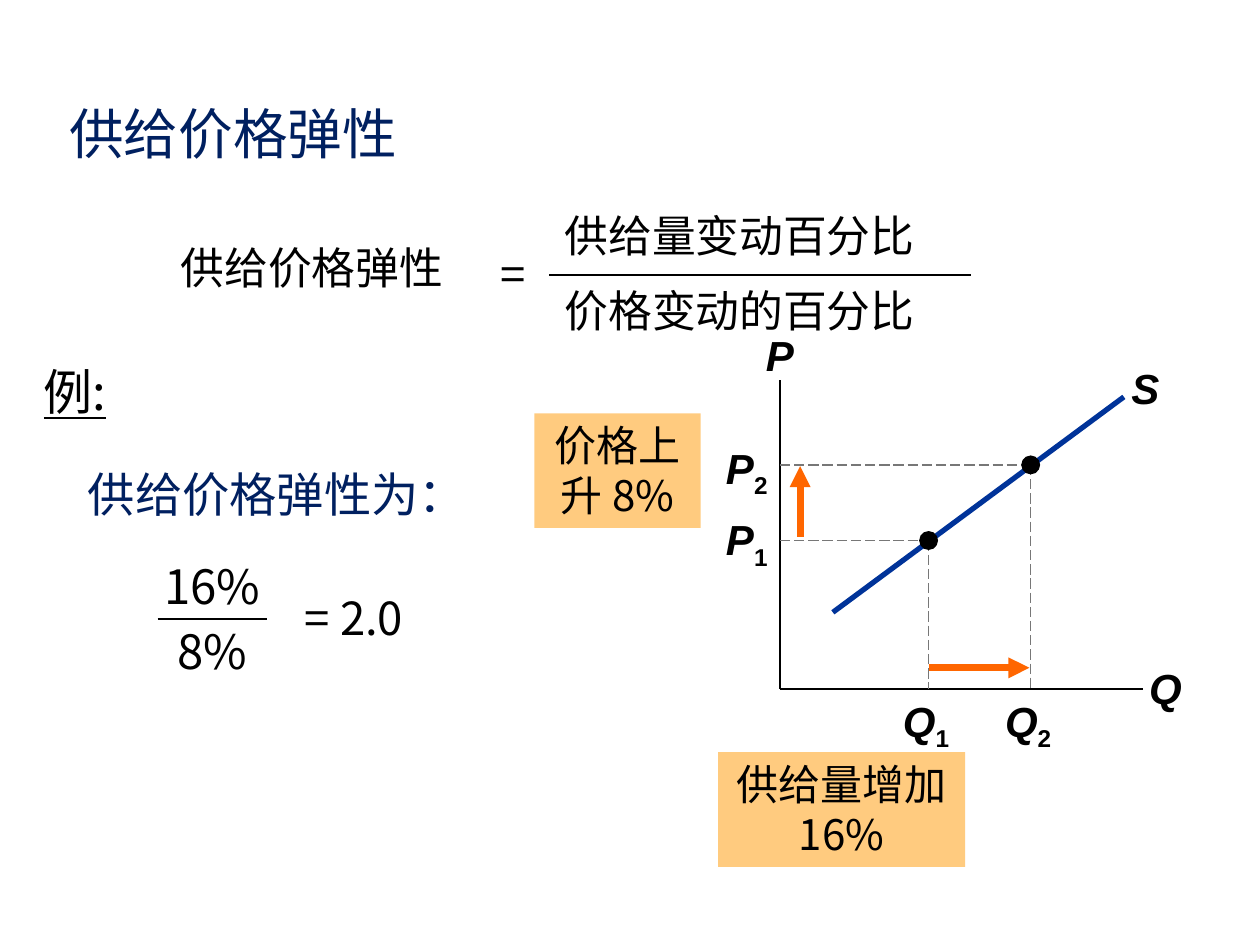
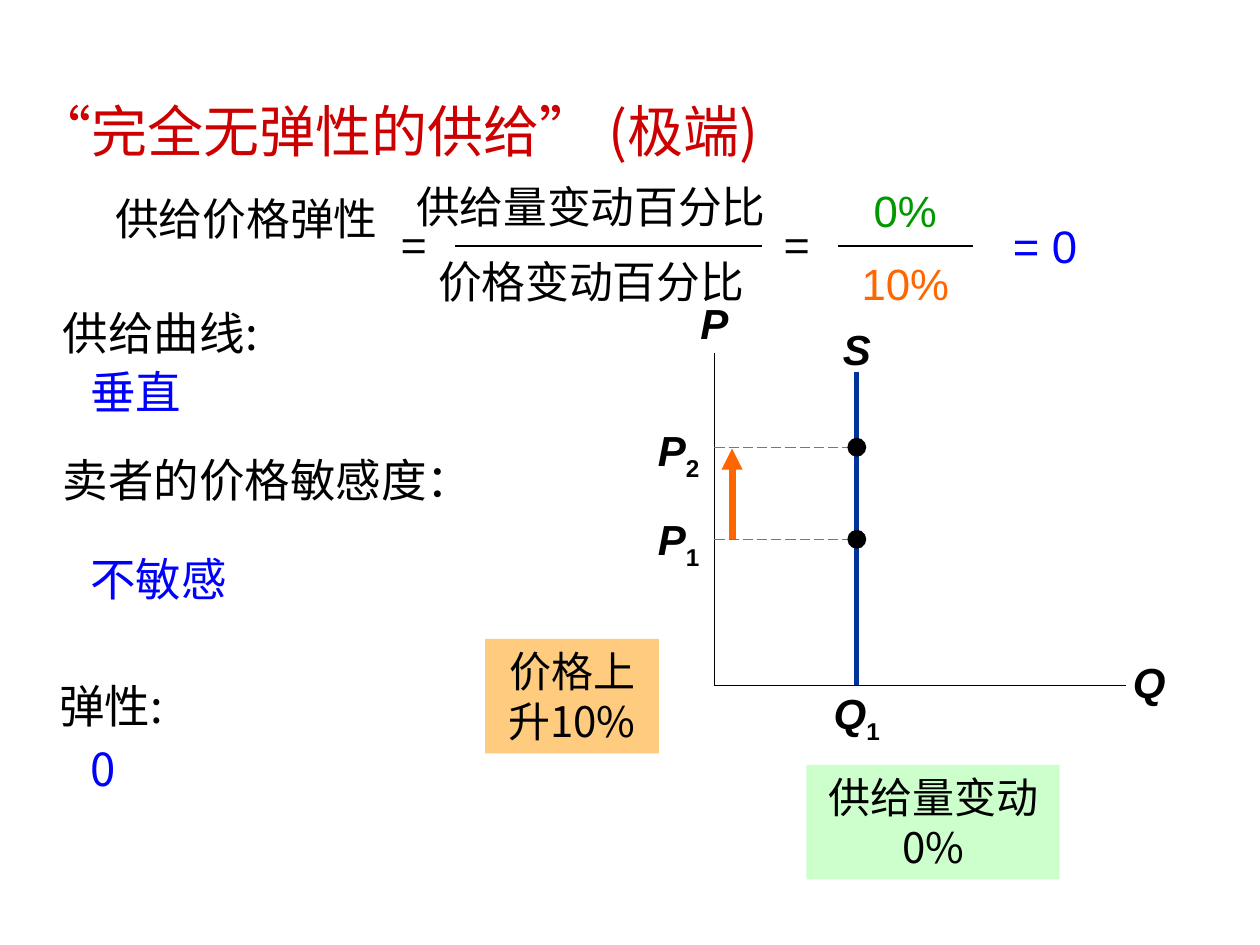
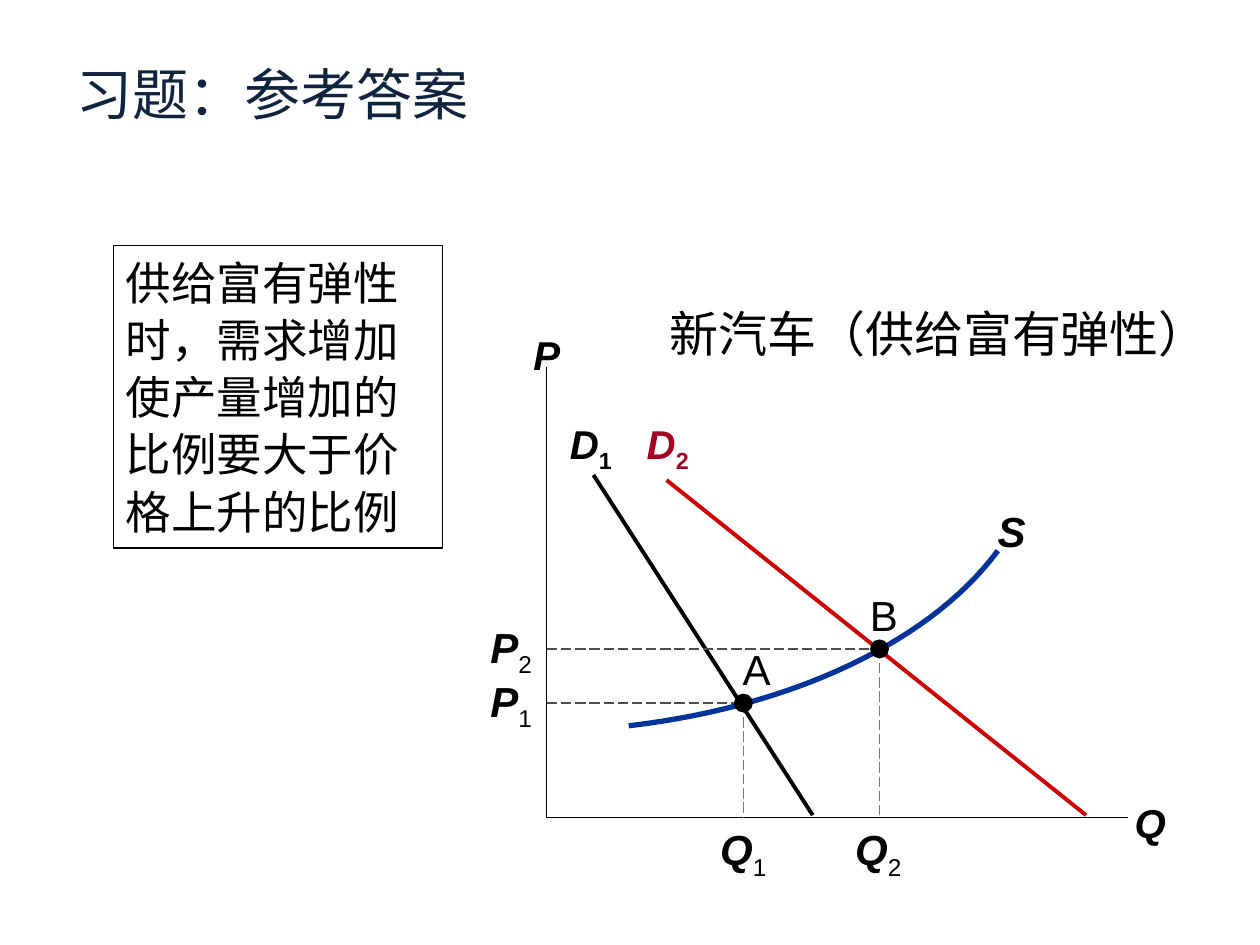
from lxml.etree import SubElement
from pptx import Presentation
from pptx.dml.color import RGBColor
from pptx.enum.dml import MSO_LINE
from pptx.enum.shapes import MSO_CONNECTOR, MSO_SHAPE
from pptx.enum.text import MSO_ANCHOR, MSO_AUTO_SIZE, PP_ALIGN
from pptx.oxml.ns import qn
from pptx.util import Inches, Pt

BLACK = RGBColor(0x00, 0x00, 0x00)
WHITE = RGBColor(0xFF, 0xFF, 0xFF)
NAVY = RGBColor(0x00, 0x20, 0x60)
INK = RGBColor(0x0F, 0x24, 0x3E)
RED = RGBColor(0xCC, 0x00, 0x00)
CRIMSON = RGBColor(0xA5, 0x00, 0x21)
SUPPLY_BLUE = RGBColor(0x00, 0x33, 0x99)
ANSWER_BLUE = RGBColor(0x00, 0x00, 0xFF)
GREEN = RGBColor(0x00, 0x99, 0x00)
PALE_GREEN = RGBColor(0xCC, 0xFF, 0xCC)
ORANGE = RGBColor(0xFF, 0x66, 0x00)
AMBER = RGBColor(0xFF, 0x99, 0x00)
GRAY = RGBColor(0x77, 0x77, 0x77)
DARK_GRAY = RGBColor(0x4D, 0x4D, 0x4D)

CHINESE = "Noto Sans CJK SC"
LATIN = "Arial"
DOT = 0.15
SYMBOL_WIDTH = 0.67


def add_span(para, text, size, color=BLACK, font=CHINESE, bold=False, italic=False):
    span = para.add_run()
    span.text = text
    span.font.size = Pt(size)
    span.font.bold = bold
    span.font.italic = italic
    span.font.color.rgb = color
    span.font.name = font
    SubElement(span._r.get_or_add_rPr(), qn("a:ea"), typeface=font)
    return span


def add_title(page, text, left, top, width, height, size=32, color=NAVY,
              font=CHINESE, anchor=MSO_ANCHOR.MIDDLE):
    title = page.shapes.title
    title.left, title.top = Inches(left), Inches(top)
    title.width, title.height = Inches(width), Inches(height)
    frame = title.text_frame
    frame.auto_size = MSO_AUTO_SIZE.NONE
    frame.vertical_anchor = anchor
    para = frame.paragraphs[0]
    para.alignment = PP_ALIGN.LEFT
    add_span(para, text, size, color, font)


def add_box(page, left, top, width, height):
    box = page.shapes.add_textbox(Inches(left), Inches(top), Inches(width), Inches(height))
    box.text_frame.word_wrap = True
    return box.text_frame


def add_label(page, text, left, top, width, height, size=26, color=BLACK,
              font=CHINESE, align=PP_ALIGN.CENTER, spacing=None):
    para = add_box(page, left, top, width, height).paragraphs[0]
    para.alignment = align
    if spacing:
        para.line_spacing = spacing
    return add_span(para, text, size, color, font)


def add_symbol(page, letter, center, top, index="", size=24, color=BLACK,
               align=PP_ALIGN.CENTER, index_bold=True):
    """Write a bold italic variable, with its index as a subscript."""
    frame = add_box(page, center - SYMBOL_WIDTH / 2, top, SYMBOL_WIDTH, 0.5)
    para = frame.paragraphs[0]
    para.alignment = align
    add_span(para, letter, size, color, LATIN, bold=True, italic=True)
    if index:
        span = add_span(para, index, size, color, LATIN, bold=index_bold)
        span._r.get_or_add_rPr().set("baseline", "-25000")


def add_price(page, index, right, top, index_bold=True):
    add_symbol(page, "P", right - SYMBOL_WIDTH / 2, top, index,
               align=PP_ALIGN.RIGHT, index_bold=index_bold)


def add_line(page, start, end, color=BLACK, width=1.0, dashed=False, arrow=False):
    line = page.shapes.add_connector(MSO_CONNECTOR.STRAIGHT, *map(Inches, start + end))
    line.line.color.rgb = color
    line.line.width = Pt(width)
    if dashed:
        line.line.dash_style = MSO_LINE.LONG_DASH
    if arrow:
        SubElement(line.line._get_or_add_ln(), qn("a:tailEnd"), type="triangle")
    SubElement(line._element.spPr, qn("a:effectLst"))


def add_arrow(page, start, end):
    add_line(page, start, end, ORANGE, 4, arrow=True)


def add_axes(page, origin, top, right, price_top, quantity_top, width=1.0, size=24):
    x, y = origin
    add_line(page, (x, top), origin, width=width)
    add_line(page, origin, (right, y), width=width)
    add_symbol(page, "P", x, price_top, size=size)
    add_symbol(page, "Q", right + 0.18, quantity_top, size=size)


def add_guides(page, origin, point, color=GRAY, down=True):
    """Draw dashed lines from a point to the price and quantity axes."""
    add_line(page, (origin[0], point[1]), point, color, 0.75, dashed=True)
    if down:
        add_line(page, point, (point[0], origin[1]), GRAY, 0.75, dashed=True)


def add_shape(page, kind, left, top, width, height, fill):
    shape = page.shapes.add_shape(
        kind, Inches(left), Inches(top), Inches(width), Inches(height))
    shape.shadow.inherit = False
    shape.fill.solid()
    shape.fill.fore_color.rgb = fill
    shape.line.fill.background()
    return shape


def add_dot(page, point):
    x, y = point
    add_shape(page, MSO_SHAPE.OVAL, x - DOT / 2, y - DOT / 2, DOT, DOT, BLACK)


def add_panel(page, text, left, top, width, height, fill, size=24,
              align=PP_ALIGN.CENTER, spacing=None):
    panel = add_shape(page, MSO_SHAPE.RECTANGLE, left, top, width, height, fill)
    frame = panel.text_frame
    frame.word_wrap = True
    frame.vertical_anchor = MSO_ANCHOR.TOP
    para = frame.paragraphs[0]
    para.alignment = align
    if spacing:
        para.line_spacing = spacing
    add_span(para, text, size)
    return panel


def add_price_panel(page, text, left, top, width):
    panel = add_panel(page, text, left, top, width, 0.91, AMBER)
    color = panel._element.spPr.find(qn("a:solidFill")).find(qn("a:srgbClr"))
    SubElement(color, qn("a:alpha"), val="50000")


def add_word_fraction(page, words, center, bar_left, bar_right, bar_top):
    frame = add_box(page, center - 1.75, bar_top - 0.57, 3.5, 1.15)
    for number, text in enumerate(words):
        para = frame.add_paragraph() if number else frame.paragraphs[0]
        para.alignment = PP_ALIGN.CENTER
        if number:
            para.space_before = Pt(12.5)
        add_span(para, text, 25)
    add_line(page, (bar_left, bar_top), (bar_right, bar_top))


def add_value_fraction(page, values, colors, tops, bar_left, bar_right, bar_top, size, font):
    center = (bar_left + bar_right) / 2
    for text, color, top in zip(values, colors, tops):
        add_label(page, text, center - 0.6, top, 1.2, 0.52, size, color, font)
    add_line(page, (bar_left, bar_top), (bar_right, bar_top))


def add_supply_curve(page, start, control_1, control_2, end, steps=30):
    """Trace a cubic Bezier curve as a fine outline."""
    def at(t):
        weights = ((1 - t) ** 3, 3 * t * (1 - t) ** 2, 3 * t * t * (1 - t), t ** 3)
        knots = (start, control_1, control_2, end)
        return tuple(Inches(sum(w * knot[axis] for w, knot in zip(weights, knots)))
                     for axis in (0, 1))

    builder = page.shapes.build_freeform(*at(0))
    builder.add_line_segments([at(step / steps) for step in range(1, steps + 1)], close=False)
    curve = builder.convert_to_shape()
    curve.shadow.inherit = False
    curve.fill.background()
    curve.line.color.rgb = SUPPLY_BLUE
    curve.line.width = Pt(3)


def build_elasticity(page):
    add_title(page, "供给价格弹性", 0.45, 0.76, 8.48, 0.59, 31.2)
    add_label(page, "供给价格弹性", 1.03, 1.89, 2.89, 0.5, 25, spacing=0.95)
    add_label(page, "=", 3.78, 1.9, 0.58, 0.53)
    add_word_fraction(page, ("供给量变动百分比", "价格变动的百分比"), 5.87, 4.36, 7.71, 2.18)

    add_label(page, "例:", 0, 2.82, 1.19, 0.57, 28).font.underline = True
    add_label(page, "供给价格弹性为：", 0.6, 3.64, 2.9, 0.6, 27, NAVY, align=PP_ALIGN.LEFT)
    add_value_fraction(page, ("16%", "8%"), (BLACK, BLACK), (4.37, 4.89),
                       1.25, 2.12, 4.91, 27, CHINESE)
    add_label(page, "= 2.0", 2.13, 4.63, 1.36, 0.53)

    origin, low, high = (6.19, 5.47), (7.37, 4.29), (8.18, 3.69)
    add_axes(page, origin, 3.02, 9.07, 2.57, 5.21)
    add_line(page, (8.92, 3.15), (6.61, 4.86), SUPPLY_BLUE, 3)
    add_symbol(page, "S", 9.09, 2.83)
    for index, point, price_top in (("1", low, 4.03), ("2", high, 3.46)):
        add_guides(page, origin, point)
        add_dot(page, point)
        add_price(page, index, origin[0], price_top)
        add_symbol(page, "Q", point[0] - 0.02, origin[1], index)
    add_arrow(page, (6.35, 4.26), (6.35, 3.7))
    add_arrow(page, (7.37, 5.3), (8.17, 5.3))
    add_price_panel(page, "价格上升 8%", 4.24, 3.28, 1.32)
    add_price_panel(page, "供给量增加16%", 5.7, 5.97, 1.96)


def build_perfectly_inelastic(page):
    add_title(page, "“完全无弹性的供给” (极端)", 0.18, 0.69, 9.29, 0.68, color=RED)
    add_label(page, "供给价格弹性", 0.71, 1.5, 2.49, 0.5, 25, spacing=0.95)
    for left in (3.04, 6.08):
        add_label(page, "=", left, 1.68, 0.5, 0.53)
    add_word_fraction(page, ("供给量变动百分比", "价格变动百分比"), 4.69, 3.61, 6.05, 1.95)
    add_value_fraction(page, ("0%", "10%"), (GREEN, ORANGE), (1.41, 1.99),
                       6.65, 7.72, 1.95, 25, LATIN)
    add_label(page, "= 0", 7.92, 1.68, 0.75, 0.53, color=ANSWER_BLUE, font=LATIN)

    for question, left, top, answer, answer_top in (
            ("供给曲线:", 0.4, 2.35, "垂直", 2.82),
            ("卖者的价格敏感度：", 0.4, 3.52, "不敏感", 4.3),
            ("弹性:", 0.37, 5.31, "0", 5.81)):
        add_label(page, question, left, top, 3.71, 0.58,
                  align=PP_ALIGN.LEFT, spacing=1.05)
        add_label(page, answer, 0.62, answer_top, 2.9, 0.58, color=ANSWER_BLUE,
                  align=PP_ALIGN.LEFT, spacing=1.05)

    origin, supply_x = (5.67, 5.44), 6.8
    add_axes(page, origin, 2.8, 8.94, 2.31, 5.16)
    add_line(page, (supply_x, 2.95), (supply_x, origin[1]), SUPPLY_BLUE, 3)
    add_symbol(page, "S", supply_x, 2.52)
    add_symbol(page, "Q", supply_x, 5.41, "1")
    for index, price, price_top in (("1", 4.28, 4.03), ("2", 3.55, 3.32)):
        point = (supply_x, price)
        add_guides(page, origin, point, down=False)
        add_dot(page, point)
        add_price(page, index, 5.65, price_top)
    add_arrow(page, (5.81, 4.28), (5.81, 3.56))
    add_price_panel(page, "价格上升10%", 3.85, 5.07, 1.38)
    add_panel(page, "供给量变动 0%", 6.4, 6.07, 2.01, 0.91, PALE_GREEN)


def build_exercise_answer(page):
    add_title(page, "习题：参考答案", 0.51, 0.42, 8.98, 1.04, color=INK,
              font="Karla", anchor=MSO_ANCHOR.TOP)
    answer = add_panel(page, "供给富有弹性时，需求增加使产量增加的比例要大于价格上升的比例",
                       0.9, 1.95, 2.61, 2.4, WHITE, 26, PP_ALIGN.LEFT, 1.05)
    answer.line.color.rgb = BLACK
    answer.line.width = Pt(0.75)
    add_label(page, "新汽车（供给富有弹性）", 5.07, 2.34, 4.76, 1.16, 28,
              font=LATIN, spacing=1.05)

    origin, point_a, point_b = (4.34, 6.49), (5.9, 5.58), (6.98, 5.15)
    add_axes(page, origin, 2.91, 8.95, 2.57, 6.29, 0.75, 23)
    for index, center, start, end, line_color, text_color in (
            ("1", 4.69, (4.71, 3.77), (6.45, 6.47), BLACK, BLACK),
            ("2", 5.3, (5.29, 3.81), (8.62, 6.47), RED, CRIMSON)):
        add_line(page, start, end, line_color, 2.25)
        add_symbol(page, "D", center, 3.28, index, 23, text_color)
    add_supply_curve(page, (4.99, 5.76), (6.29, 5.61), (7.39, 5.09), (7.92, 4.37))
    add_symbol(page, "S", 8.03, 3.96)
    for index, name, point, name_left, quantity_center, price_top in (
            ("1", "A", point_a, 5.79, 5.9, 5.31),
            ("2", "B", point_b, 6.8, 6.97, 4.88)):
        add_guides(page, origin, point, DARK_GRAY)
        add_dot(page, point)
        add_label(page, name, name_left, point[1] - 0.52, 0.43, 0.5, 24, font=LATIN)
        add_price(page, index, 4.32, price_top, index_bold=False)
        add_symbol(page, "Q", quantity_center, origin[1], index, index_bold=False)


def main():
    deck = Presentation()
    deck.slide_width, deck.slide_height = Inches(10), Inches(7.5)
    title_only = deck.slide_layouts[5]
    for build in (build_elasticity, build_perfectly_inelastic, build_exercise_answer):
        build(deck.slides.add_slide(title_only))
    deck.save("out.pptx")


if __name__ == "__main__":
    main()
